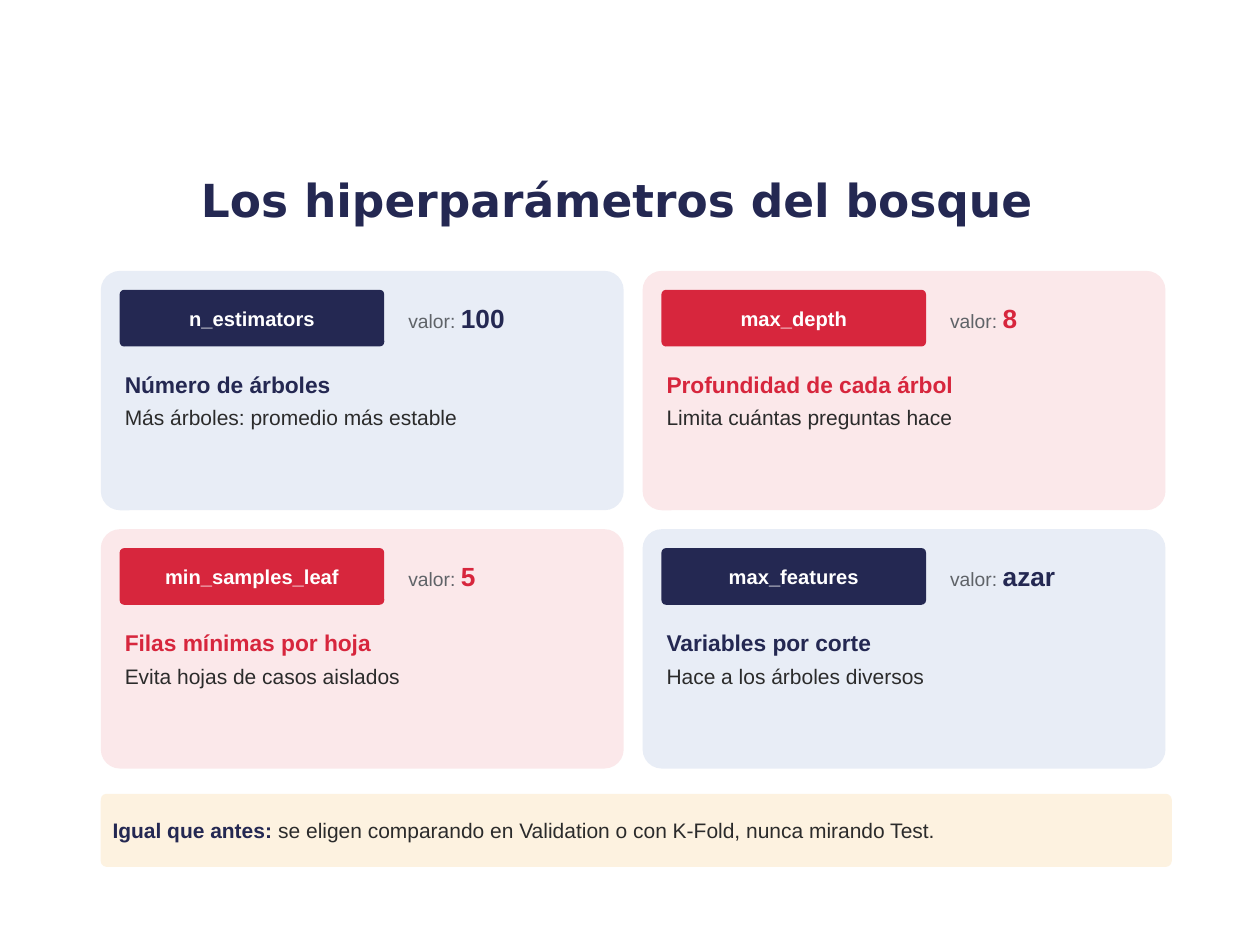
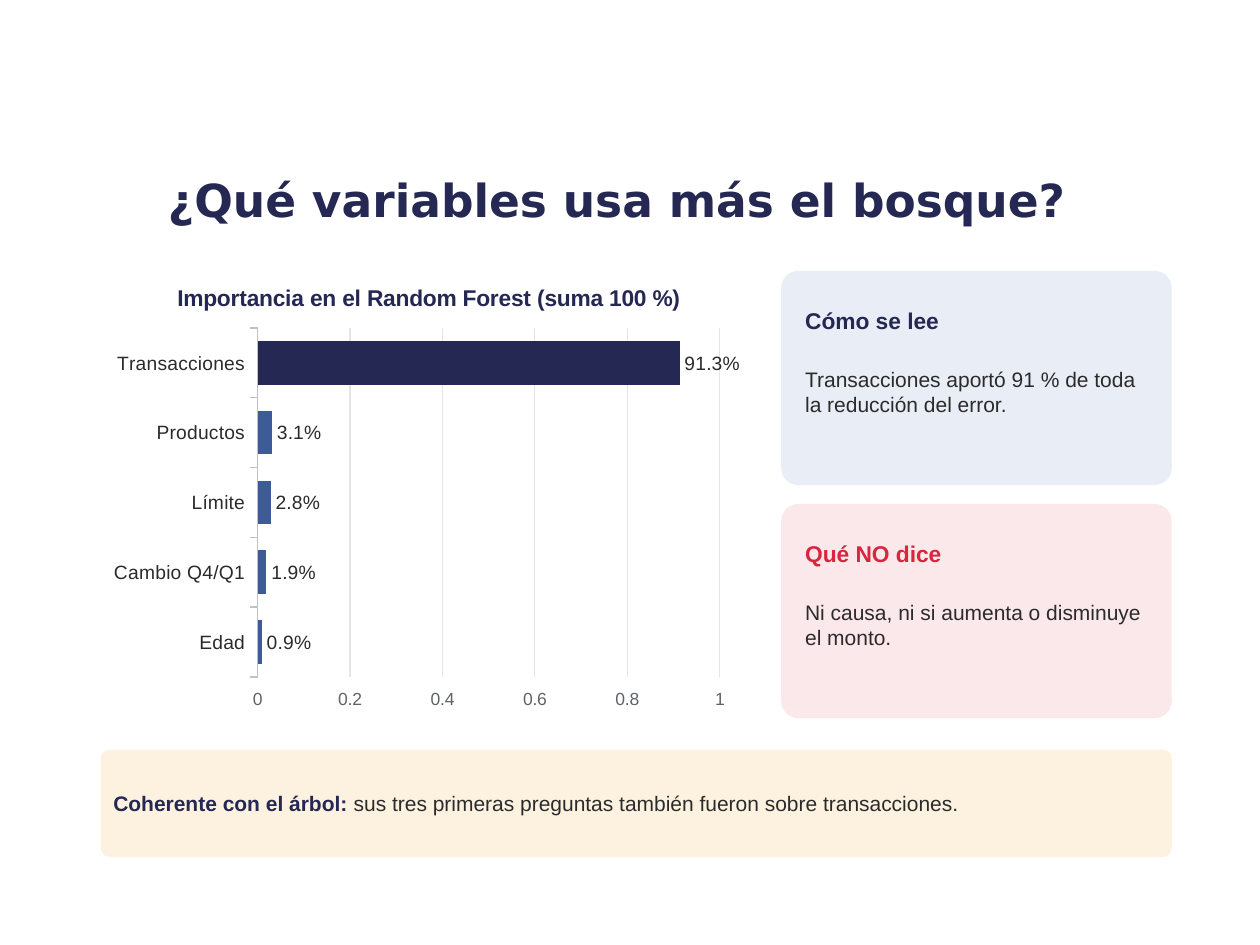
from dataclasses import dataclass
from typing import Any

import pptx
import pptx.chart.data
import pptx.dml.color
import pptx.enum.chart
import pptx.enum.shapes
import pptx.enum.text
import pptx.util

RGB = pptx.dml.color.RGBColor
NAVY = RGB(0x24, 0x28, 0x52)
RED = RGB(0xD7, 0x26, 0x3D)
BLUE = RGB(0x3D, 0x5A, 0x99)
PALE = RGB(0xE8, 0xED, 0xF6)
PINK = RGB(0xFB, 0xE8, 0xEA)
CREAM = RGB(0xFD, 0xF2, 0xE0)
WHITE = RGB(0xFF, 0xFF, 0xFF)
INK = RGB(0x2B, 0x2B, 0x2B)
GRAY = RGB(0x5F, 0x63, 0x68)
RULE = RGB(0xBF, 0xC3, 0xC9)
GRID = RGB(0xE3, 0xE5, 0xE8)

PX = 9144
FONT = "Arial"
HEAD_FONT = "DejaVu Sans"
ALIGN = pptx.enum.text.PP_ALIGN
ANCHOR = pptx.enum.text.MSO_ANCHOR
LEFT = 80
WIDE = 850


@dataclass(frozen=True)
class Box:
    x: int
    y: int
    w: int
    h: int

    def emu(self) -> tuple[int, ...]:
        return tuple(n * PX for n in (self.x, self.y, self.w, self.h))


@dataclass(frozen=True)
class Span:
    text: str
    size: float
    color: RGB
    bold: bool = False


@dataclass(frozen=True)
class Tone:
    back: RGB
    main: RGB


@dataclass(frozen=True)
class Param:
    name: str
    value: str
    head: str
    body: str
    tone: Tone


@dataclass(frozen=True)
class Note:
    head: str
    body: str
    tone: Tone


COOL = Tone(PALE, NAVY)
WARM = Tone(PINK, RED)

PARAMS = [
    Param("n_estimators", "100", "Número de árboles",
          "Más árboles: promedio más estable", COOL),
    Param("max_depth", "8", "Profundidad de cada árbol",
          "Limita cuántas preguntas hace", WARM),
    Param("min_samples_leaf", "5", "Filas mínimas por hoja",
          "Evita hojas de casos aislados", WARM),
    Param("max_features", "azar", "Variables por corte",
          "Hace a los árboles diversos", COOL),
]

NOTES = [
    Note("Cómo se lee", "Transacciones aportó 91 % de toda la reducción del error.", COOL),
    Note("Qué NO dice", "Ni causa, ni si aumenta o disminuye el monto.", WARM),
]

SHARES = {
    "Edad": 0.009,
    "Cambio Q4/Q1": 0.019,
    "Límite": 0.028,
    "Productos": 0.031,
    "Transacciones": 0.913,
}


def style(font: Any, size: float, color: RGB, bold: bool = False, face: str = FONT) -> None:
    font.name = face
    font.size = pptx.util.Pt(size)
    font.bold = bold
    font.color.rgb = color


def write(frame: Any, lines: list[list[Span]], inset: int, after: int,
          anchor: Any = ANCHOR.MIDDLE, align: Any = ALIGN.LEFT) -> None:
    frame.word_wrap = True
    frame.vertical_anchor = anchor
    frame.margin_left = frame.margin_right = inset * PX
    frame.margin_top = frame.margin_bottom = inset * PX
    frame.text = "\n".join(line[0].text for line in lines)
    for para, line in zip(frame.paragraphs, lines):
        para.alignment = align
        para.space_after = pptx.util.Pt(after)
        for span in line[1:]:
            para.add_run().text = span.text
        for run, span in zip(para.runs, line):
            style(run.font, span.size, span.color, span.bold)


def add_card(slide: Any, box: Box, fill: RGB) -> Any:
    card = slide.shapes.add_shape(pptx.enum.shapes.MSO_SHAPE.ROUNDED_RECTANGLE, *box.emu())
    card.adjustments[0] = 0.08
    card.shadow.inherit = False
    card.fill.solid()
    card.fill.fore_color.rgb = fill
    card.line.fill.background()
    return card


def add_text(slide: Any, box: Box, lines: list[list[Span]], anchor: Any = ANCHOR.MIDDLE) -> None:
    frame = slide.shapes.add_textbox(*box.emu()).text_frame
    write(frame, lines, 4, 4, anchor)
    frame.auto_size = pptx.enum.text.MSO_AUTO_SIZE.SHAPE_TO_FIT_TEXT


def add_band(slide: Any, top: int, high: int, lead: str, rest: str) -> None:
    band = add_card(slide, Box(LEFT, top, WIDE, high), CREAM)
    write(band.text_frame, [[Span(lead, 12, NAVY, True), Span(rest, 12, INK)]], 8, 3)


def add_slide(deck: Any, text: str) -> Any:
    slide = deck.slides.add_slide(deck.slide_layouts[5])
    title = slide.shapes.title
    title.left, title.top, title.width, title.height = Box(75, 118, 830, 80).emu()
    frame = title.text_frame
    frame.text = text
    frame.word_wrap = True
    frame.vertical_anchor = ANCHOR.MIDDLE
    para = frame.paragraphs[0]
    para.alignment = ALIGN.CENTER
    style(para.runs[0].font, 26, NAVY, True, HEAD_FONT)
    return slide


def add_param(slide: Any, x: int, y: int, item: Param) -> None:
    main = item.tone.main
    add_card(slide, Box(x, y, 415, 190), item.tone.back)
    tag = add_card(slide, Box(x + 15, y + 15, 210, 45), main)
    write(tag.text_frame, [[Span(item.name, 11.5, WHITE, True)]], 2, 3, align=ALIGN.CENTER)
    add_text(slide, Box(x + 240, y + 10, 165, 55),
             [[Span("valor: ", 11, GRAY), Span(item.value, 15, main, True)]])
    add_text(slide, Box(x + 15, y + 75, 385, 110),
             [[Span(item.head, 13, main, True)], [Span(item.body, 12, INK)]], ANCHOR.TOP)


def add_note(slide: Any, x: int, y: int, note: Note) -> None:
    add_card(slide, Box(x, y, 310, 170), note.tone.back)
    add_text(slide, Box(x + 15, y + 12, 285, 55), [[Span(note.head, 13, note.tone.main, True)]])
    add_text(slide, Box(x + 15, y + 72, 280, 90), [[Span(note.body, 12, INK)]], ANCHOR.TOP)


def add_bars(slide: Any, box: Box) -> None:
    kinds = pptx.enum.chart
    data = pptx.chart.data.CategoryChartData()
    data.categories = list(SHARES)
    data.add_series("Series 1", list(SHARES.values()))
    chart = slide.shapes.add_chart(kinds.XL_CHART_TYPE.BAR_CLUSTERED, *box.emu(), data).chart
    style(chart.font, 11, INK)
    chart.has_legend = False
    chart.has_title = True
    frame = chart.chart_title.text_frame
    frame.text = "Importancia en el Random Forest (suma 100 %)"
    style(frame.paragraphs[0].runs[0].font, 13, NAVY, True)
    chart.chart_title.include_in_layout = False

    cats = chart.category_axis
    cats.tick_label_position = kinds.XL_TICK_LABEL_POSITION.LOW
    cats.major_tick_mark = kinds.XL_TICK_MARK.OUTSIDE
    cats.has_major_gridlines = False
    style(cats.tick_labels.font, 11, INK)
    cats.format.line.color.rgb = RULE
    cats.format.line.width = pptx.util.Pt(0.75)

    vals = chart.value_axis
    vals.minimum_scale = 0
    vals.maximum_scale = 1.05
    vals.major_tick_mark = kinds.XL_TICK_MARK.OUTSIDE
    style(vals.tick_labels.font, 10, GRAY)
    vals.format.line.fill.background()
    vals.has_major_gridlines = True
    vals.major_gridlines.format.line.color.rgb = GRID
    vals.major_gridlines.format.line.width = pptx.util.Pt(0.75)

    plot = chart.plots[0]
    plot.gap_width = 60
    plot.vary_by_categories = False
    bars = plot.series[0]
    bars.format.fill.solid()
    bars.format.fill.fore_color.rgb = BLUE
    top = bars.points[len(SHARES) - 1].format.fill
    top.solid()
    top.fore_color.rgb = NAVY
    marks = bars.data_labels
    marks.show_value = True
    marks.position = kinds.XL_LABEL_POSITION.OUTSIDE_END
    marks.number_format = "0.0%"
    marks.number_format_is_linked = False
    style(marks.font, 11, INK)


def main() -> None:
    deck = pptx.Presentation()
    deck.slide_width, deck.slide_height = 1000 * PX, 750 * PX

    slide = add_slide(deck, "Los hiperparámetros del bosque")
    for i, item in enumerate(PARAMS):
        row, col = divmod(i, 2)
        add_param(slide, LEFT + col * 430, 215 + row * 205, item)
    add_band(slide, 630, 58, "Igual que antes: ",
             "se eligen comparando en Validation o con K-Fold, nunca mirando Test.")

    slide = add_slide(deck, "¿Qué variables usa más el bosque?")
    add_bars(slide, Box(LEFT, 210, 520, 360))
    for i, note in enumerate(NOTES):
        add_note(slide, 620, 215 + i * 185, note)
    add_band(slide, 595, 85, "Coherente con el árbol: ",
             "sus tres primeras preguntas también fueron sobre transacciones.")

    deck.save("out.pptx")


if __name__ == "__main__":
    main()
